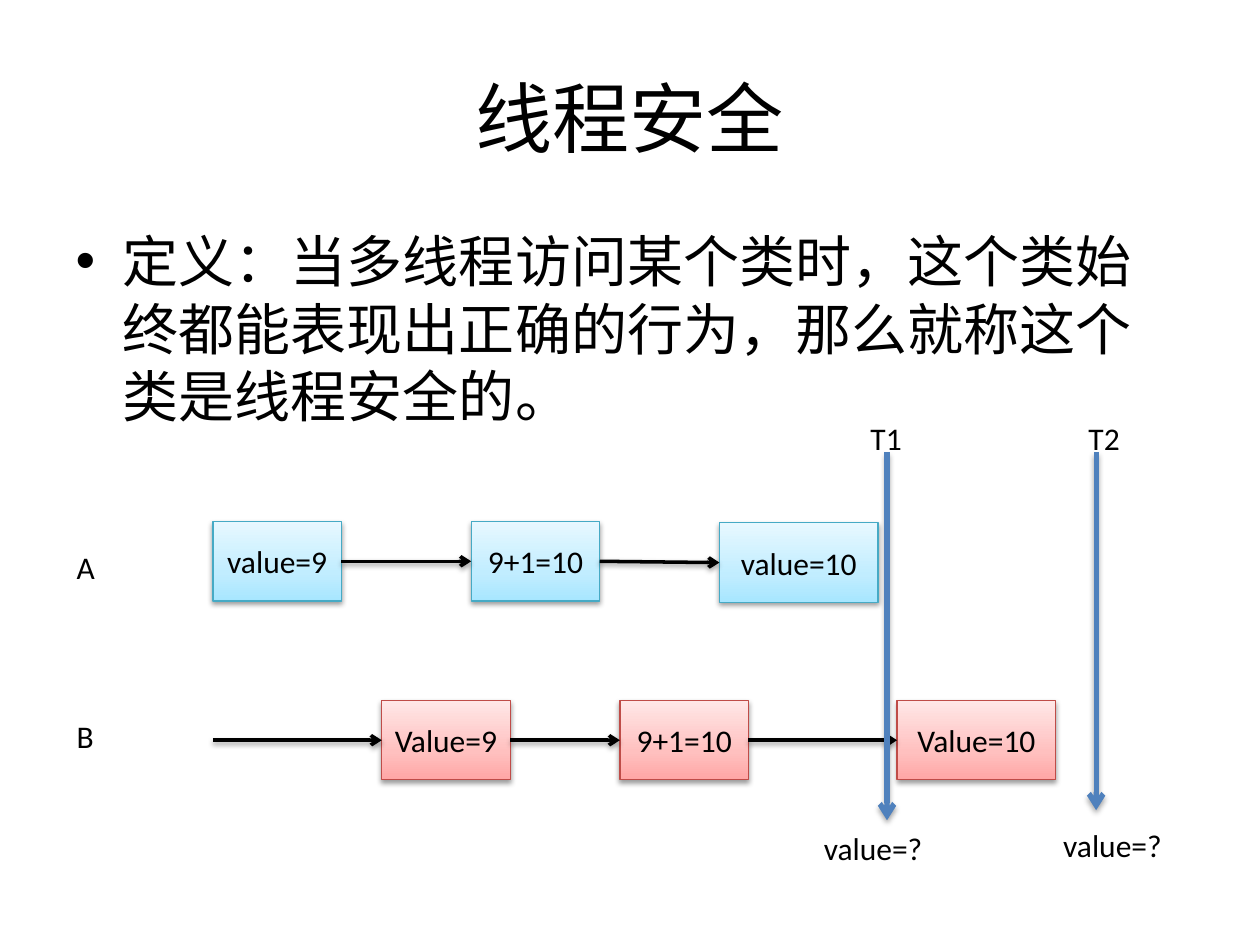
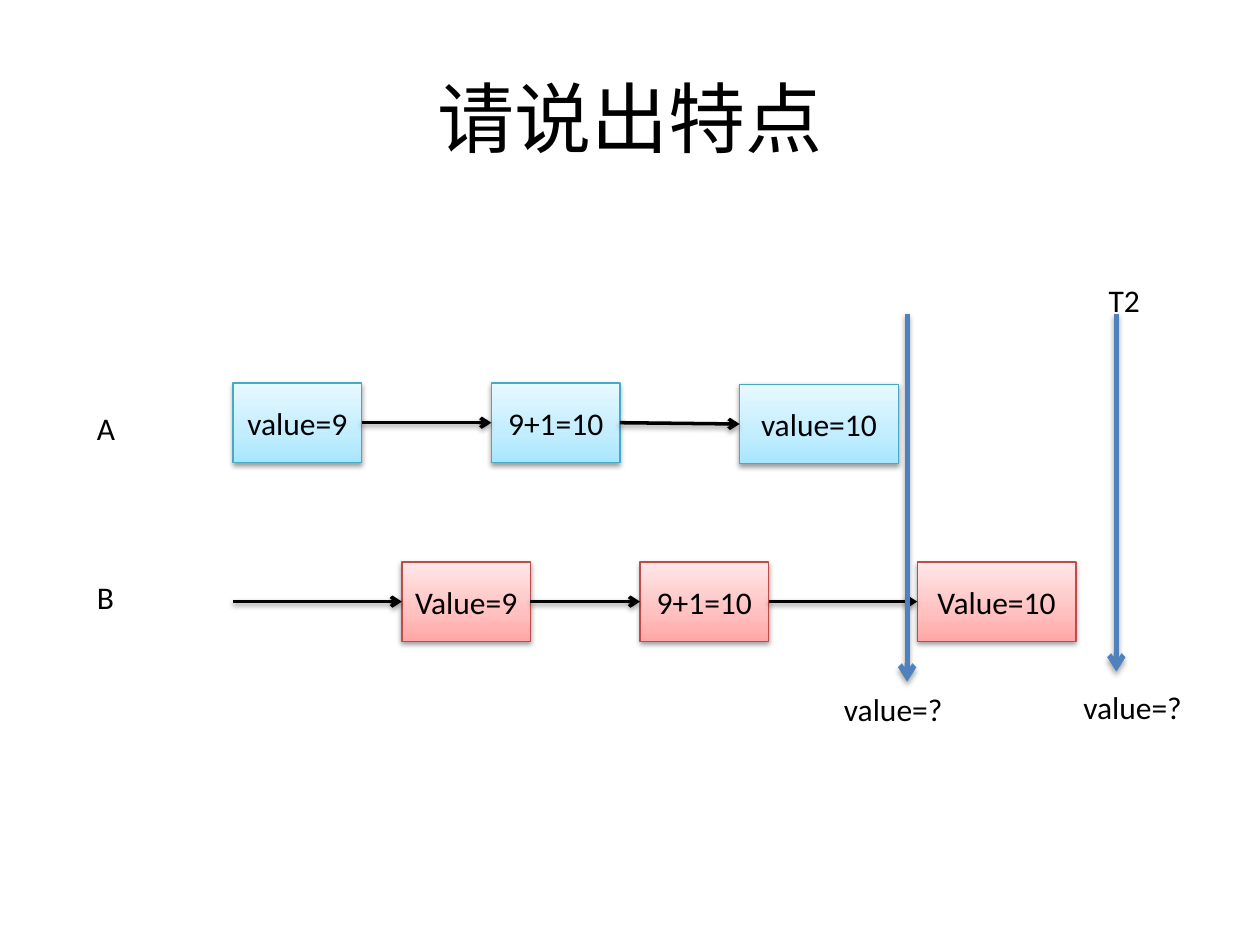
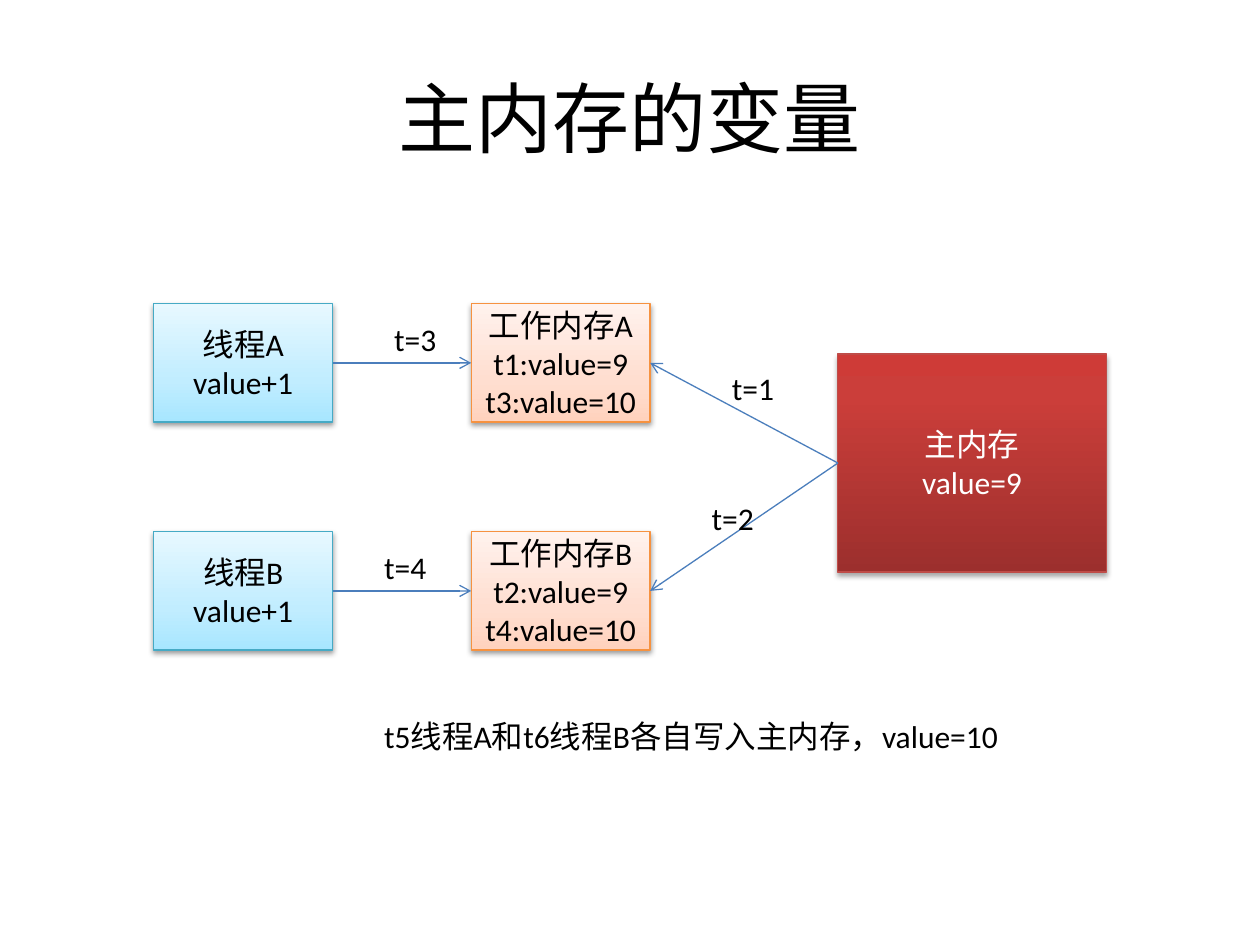
from copy import deepcopy

from lxml.etree import SubElement
from pptx import Presentation
from pptx.dml.color import RGBColor
from pptx.enum.shapes import MSO_CONNECTOR as Connector, MSO_SHAPE as Preset
from pptx.enum.text import MSO_ANCHOR as Anchor, MSO_AUTO_SIZE as AutoSize, PP_ALIGN as Align
from pptx.oxml.ns import qn
from pptx.util import Inches, Pt

# Shared look
FONT = "Calibri"
BLACK = RGBColor(0x00, 0x00, 0x00)
WHITE = RGBColor(0xFF, 0xFF, 0xFF)
TIME_BLUE = RGBColor(0x4F, 0x81, 0xBD)
LINK_BLUE = RGBColor(0x4B, 0x7E, 0xBC)
CYAN_LINE = RGBColor(0x46, 0xAA, 0xC5)
RED_LINE = RGBColor(0xBF, 0x4C, 0x48)
ORANGE_LINE = RGBColor(0xF6, 0x92, 0x40)


def gradient(middle, *colors):
    return list(zip((0, middle, 1), map(RGBColor.from_string, colors)))


# Shadows: opacity in percent, distance in points
SOFT = {"opacity": 38, "distance": 1.6}
DEEP = {"opacity": 35, "distance": 1.8}

# Box styles; gradients run from bottom to top
CYAN = {"stops": gradient(0.35, "A7E6FF", "C1EDFF", "E7F8FF"),
        "line": CYAN_LINE, "text": BLACK, "shadow": SOFT}
PINK = {"stops": gradient(0.35, "FFA6A5", "FFC0BF", "FFE7E7"),
        "line": RED_LINE, "text": BLACK, "shadow": SOFT}
ORANGE = {"stops": gradient(0.35, "FFD2BD", "FFDED0", "FFF2ED"),
          "line": ORANGE_LINE, "text": BLACK, "shadow": SOFT}
RED = {"stops": gradient(0.8, "9C2F2D", "CB3E3A", "CE3B37"),
       "line": RED_LINE, "text": WHITE, "shadow": DEEP}

# Arrow styles
STEP = {"color": BLACK, "width": 2, "shadow": SOFT}
TIME = {"color": TIME_BLUE, "width": 3, "shadow": DEEP}
LINK = {"color": LINK_BLUE, "width": 0.75, "shadow": None}

LEFT, RIGHT = 1, 3  # connection sites of a rectangle


def write(frame, text, size=18, color=BLACK, align=Align.LEFT):
    frame.text = text
    for para in frame.paragraphs:
        para.alignment = align
        for span in para.runs:
            for name, value in {"name": FONT, "size": Pt(size)}.items():
                setattr(span.font, name, value)
            span.font.color.rgb = color


def place(shape, left, top, width, height):
    shape.left, shape.top = Inches(left), Inches(top)
    shape.width, shape.height = Inches(width), Inches(height)


def set_shadow(effects, opacity, distance):
    outer = SubElement(effects, qn("a:outerShdw"), blurRad=str(Pt(3.1)),
                       dist=str(Pt(distance)), dir="5400000", rotWithShape="0")
    color = SubElement(outer, qn("a:srgbClr"), val=str(BLACK))
    SubElement(color, qn("a:alpha"), val=str(opacity * 1000))


def add_page(deck, title, layout=5):
    page = deck.slides.add_slide(deck.slide_layouts[layout])
    place(page.shapes.title, 0.5, 0.3, 9, 1.25)
    frame = page.shapes.title.text_frame
    frame.vertical_anchor = Anchor.MIDDLE
    write(frame, title, 44, align=Align.CENTER)
    return page


def add_box(page, text, left, top, width, height, style):
    box = page.shapes.add_shape(Preset.RECTANGLE, 0, 0, 0, 0)
    place(box, left, top, width, height)
    properties = box._element.spPr
    box.fill.gradient()
    box.fill.gradient_angle = 90
    stop_list = properties.find(".//" + qn("a:gsLst"))
    stop_list.append(deepcopy(stop_list[0]))
    for stop, (position, color) in zip(box.fill.gradient_stops, style["stops"]):
        stop.position = position
        stop.color.rgb = color
    box.line.color.rgb = style["line"]
    box.line.width = Pt(0.75)
    box.shadow.inherit = False
    set_shadow(properties.find(qn("a:effectLst")), **style["shadow"])
    box.text_frame.word_wrap = True
    box.text_frame.vertical_anchor = Anchor.MIDDLE
    write(box.text_frame, text, color=style["text"], align=Align.CENTER)
    return box


def add_label(page, text, left, top, width, wrap=False):
    label = page.shapes.add_textbox(Inches(left), Inches(top), Inches(width), Inches(0.4))
    label.text_frame.word_wrap = wrap
    label.text_frame.auto_size = AutoSize.SHAPE_TO_FIT_TEXT
    write(label.text_frame, text)


def add_arrow(page, begin, end, style, sites=(RIGHT, LEFT)):
    """Each end is either a box to join or an (x, y) point."""
    arrow = page.shapes.add_connector(Connector.STRAIGHT, 0, 0, 0, 0)
    if isinstance(begin, tuple):
        arrow.begin_x, arrow.begin_y = map(Inches, begin)
    else:
        arrow.begin_connect(begin, sites[0])
    if isinstance(end, tuple):
        arrow.end_x, arrow.end_y = map(Inches, end)
    else:
        arrow.end_connect(end, sites[1])
    arrow.line.color.rgb = style["color"]
    arrow.line.width = Pt(style["width"])
    properties = arrow._element.spPr
    SubElement(properties.find(qn("a:ln")), qn("a:tailEnd"), type="arrow")
    effects = SubElement(properties, qn("a:effectLst"))
    if style["shadow"]:
        set_shadow(effects, **style["shadow"])


def add_race(page, left, top):
    """Threads A and B over time; left and top locate the first box of A."""
    for name, drop in (("A", 0.16), ("B", 1.5)):
        add_label(page, name, left - 1.18, top + drop, 0.35)

    # Text, offset from the first box, width
    a_steps = (("value=9", 0, 0, 1.02), ("9+1=10", 2.05, 0, 1.02),
               ("value=10", 4.02, 0.01, 1.26))
    b_steps = (("Value=9", 1.34, 1.42, 1.02), ("9+1=10", 3.23, 1.42, 1.02),
               ("Value=10", 5.43, 1.42, 1.26))
    rows = [[add_box(page, text, left + x, top + y, width, 0.63, style)
             for text, x, y, width in steps]
            for steps, style in ((a_steps, CYAN), (b_steps, PINK))]
    # The first arrow of B starts level with the middle of its boxes
    add_arrow(page, (left, top + 1.42 + 0.63 / 2), rows[1][0], STEP)
    for row in rows:
        for begin, end in zip(row, row[1:]):
            add_arrow(page, begin, end, STEP)

    # Moments at which the value is read
    for x, length in ((7.01, 2.84), (5.35, 2.92)):
        start = top - 0.55
        add_arrow(page, (left + x, start), (left + x, start + length), TIME)
    add_label(page, "T2", left + 6.85, top - 0.86, 0.45)
    add_label(page, "value=?", left + 4.75, top + 2.39, 1.1, True)
    add_label(page, "value=?", left + 6.65, top + 2.37, 1.14, True)


def add_memory(page):
    """Main memory and the working memory of each thread."""
    main_memory = add_box(page, "主内存\nvalue=9", 6.65, 2.81, 2.13, 1.73, RED)
    lanes = (("A", 2.41, "t1:value=9\nt3:value=10"),
             ("B", 4.22, "t2:value=9\nt4:value=10"))
    for name, top, history in lanes:
        thread = add_box(page, f"线程{name}\nvalue+1", 1.22, top, 1.42, 0.94, CYAN)
        working = add_box(page, f"工作内存{name}\n{history}", 3.74, top, 1.42, 0.94, ORANGE)
        add_arrow(page, main_memory, working, LINK, (LEFT, RIGHT))
        add_arrow(page, thread, working, LINK)

    for text, left, top in (("t=1", 5.71, 2.88), ("t=2", 5.55, 3.91),
                            ("t=3", 3.03, 2.49), ("t=4", 2.95, 4.3)):
        add_label(page, text, left, top, 0.55, True)
    add_label(page, "t5线程A和t6线程B各自写入主内存，value=10", 2.95, 5.64, 5.12, True)


def main():
    deck = Presentation()
    deck.slide_width, deck.slide_height = Inches(10), Inches(7.5)

    # Definition of thread safety
    page = add_page(deck, "线程安全", layout=1)
    body = page.placeholders[1]
    place(body, 0.5, 1.75, 9, 1.84)
    body.text_frame.auto_size = AutoSize.NONE
    write(body.text_frame,
          "定义：当多线程访问某个类时，这个类始终都能表现出正确的行为，那么就称这个类是线程安全的。", 32)
    add_label(page, "T1", 6.81, 3.28, 0.45)
    add_race(page, 1.69, 4.14)

    # The same race as a question
    add_race(add_page(deck, "请说出特点"), 1.85, 3.04)

    # Memory model
    add_memory(add_page(deck, "主内存的变量"))

    deck.save("out.pptx")


if __name__ == "__main__":
    main()
